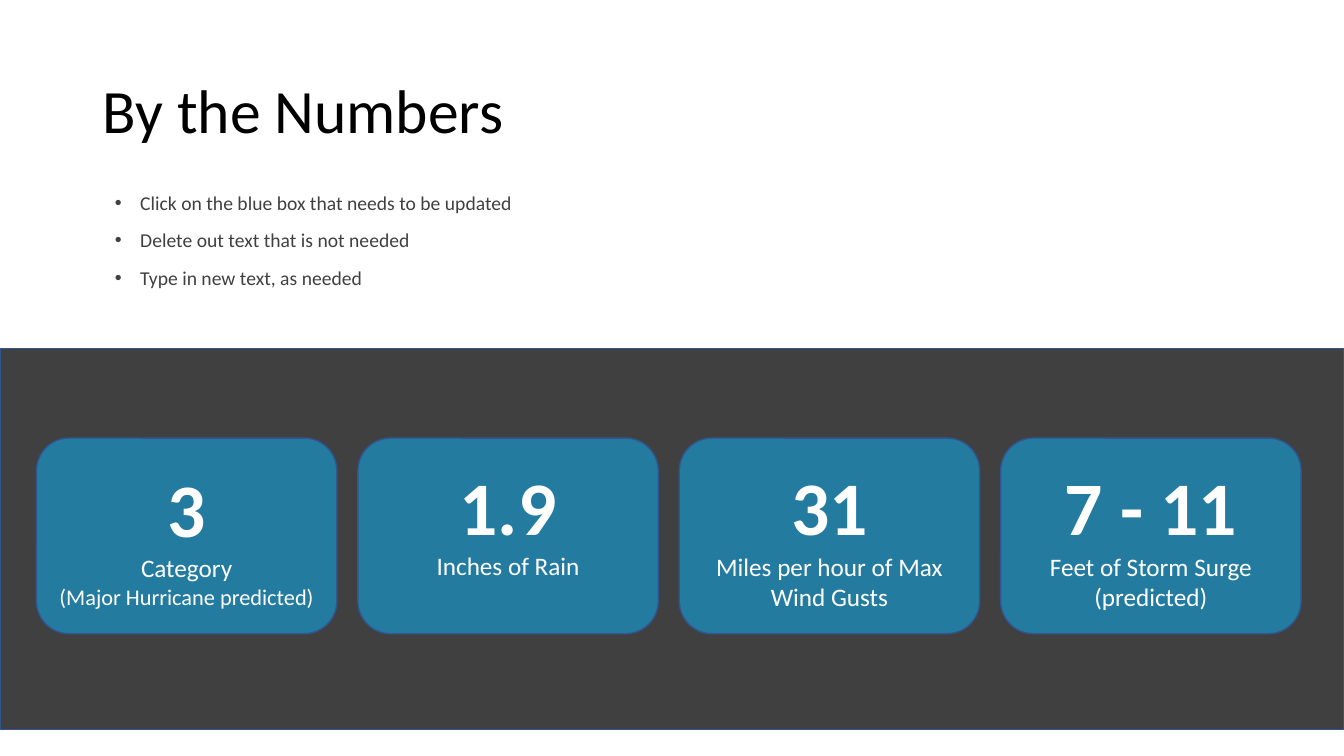
import pptx
import pptx.util
import pptx.dml.color
import pptx.enum.shapes
import pptx.enum.text

Cm, Pt = pptx.util.Cm, pptx.util.Pt
RGBColor = pptx.dml.color.RGBColor
Kind = pptx.enum.shapes.MSO_SHAPE
Align = pptx.enum.text.PP_ALIGN
Anchor = pptx.enum.text.MSO_ANCHOR
Fit = pptx.enum.text.MSO_AUTO_SIZE

WHITE = RGBColor(0xFF, 0xFF, 0xFF)
BLACK = RGBColor(0, 0, 0)
GRAY = RGBColor(0x40, 0x40, 0x40)
TEAL = RGBColor(0x24, 0x7B, 0xA0)
EDGE = RGBColor(0x32, 0x54, 0x91)


def apply(item, values):
    for name, value in values.items():
        setattr(item, name, value)


class Deck:
    font = "Calibri"

    def __init__(self, wide, high):
        self.file = pptx.Presentation()
        apply(self.file, {"slide_width": wide, "slide_height": high})
        self.slide = self.file.slides.add_slide(self.file.slide_layouts[1])

    def fill(self, frame, lines, color, **para):
        """Fill a frame with (text, size, bold) lines."""
        frame.text = "\n".join(text for text, size, bold in lines)
        for item, (text, size, bold) in zip(frame.paragraphs, lines):
            apply(item, para)
            font = item.runs[0].font
            apply(font, {"name": self.font, "size": Pt(size), "bold": bold})
            font.color.rgb = color

    def place(self, holder, box, anchor):
        apply(holder, dict(zip(("left", "top", "width", "height"), box)))
        frame = holder.text_frame
        apply(frame, {"word_wrap": True, "auto_size": Fit.NONE,
                      "vertical_anchor": anchor})
        return frame

    def title(self, text, box):
        frame = self.place(self.slide.shapes.title, box, Anchor.MIDDLE)
        self.fill(frame, [(text, 44, False)], BLACK,
                  alignment=Align.LEFT, line_spacing=0.9)

    def list(self, items, box):
        frame = self.place(self.slide.placeholders[1], box, Anchor.TOP)
        self.fill(frame, [(text, 14, False) for text in items], GRAY,
                  space_before=Pt(10), line_spacing=1.0)
        for item in frame.paragraphs:
            props = item._p.get_or_add_pPr()
            props.set("marL", str(Cm(0.64)))
            props.set("indent", str(-Cm(0.64)))

    def panel(self, kind, box, color):
        shape = self.slide.shapes.add_shape(kind, *box)
        shape.shadow.inherit = False
        shape.fill.solid()
        shape.fill.fore_color.rgb = color
        shape.line.color.rgb = EDGE
        shape.line.width = Pt(1)
        return shape

    def card(self, lines, box, foot):
        shape = self.panel(Kind.ROUNDED_RECTANGLE, box, TEAL)
        frame = shape.text_frame
        apply(frame, {"word_wrap": True, "vertical_anchor": Anchor.MIDDLE,
                      "margin_bottom": foot})
        self.fill(frame, lines, WHITE, alignment=Align.CENTER)


deck = Deck(Cm(33.87), Cm(19.05))

# Heading and steps
deck.title("By the Numbers", (Cm(2.33), Cm(1.01), Cm(29.21), Cm(3.68)))
deck.list(["Click on the blue box that needs to be updated",
           "Delete out text that is not needed",
           "Type in new text, as needed"],
          (Cm(2.64), Cm(4.68), Cm(28.3), Cm(4.01)))

# Dark band
deck.panel(Kind.RECTANGLE, (0, Cm(8.78), Cm(33.87), Cm(9.61)), GRAY)

# Number cards: figure, label lines with sizes, bottom margin in cm
facts = [
    ("3", [("Category", 18), ("(Major Hurricane predicted)", 16)], 0.13),
    ("1.9", [("Inches of Rain", 18)], 0.9),
    ("31", [("Miles per hour of Max Wind Gusts", 18)], 0.13),
    ("7 - 11", [("Feet of Storm Surge (predicted)", 18)], 0.13),
]
for col, (figure, labels, foot) in enumerate(facts):
    lines = [(figure, 54, True)] + [(text, size, False) for text, size in labels]
    box = (Cm(0.92 + col * 8.1), Cm(11.04), Cm(7.57), Cm(4.93))
    deck.card(lines, box, Cm(foot))

deck.file.save("out.pptx")
